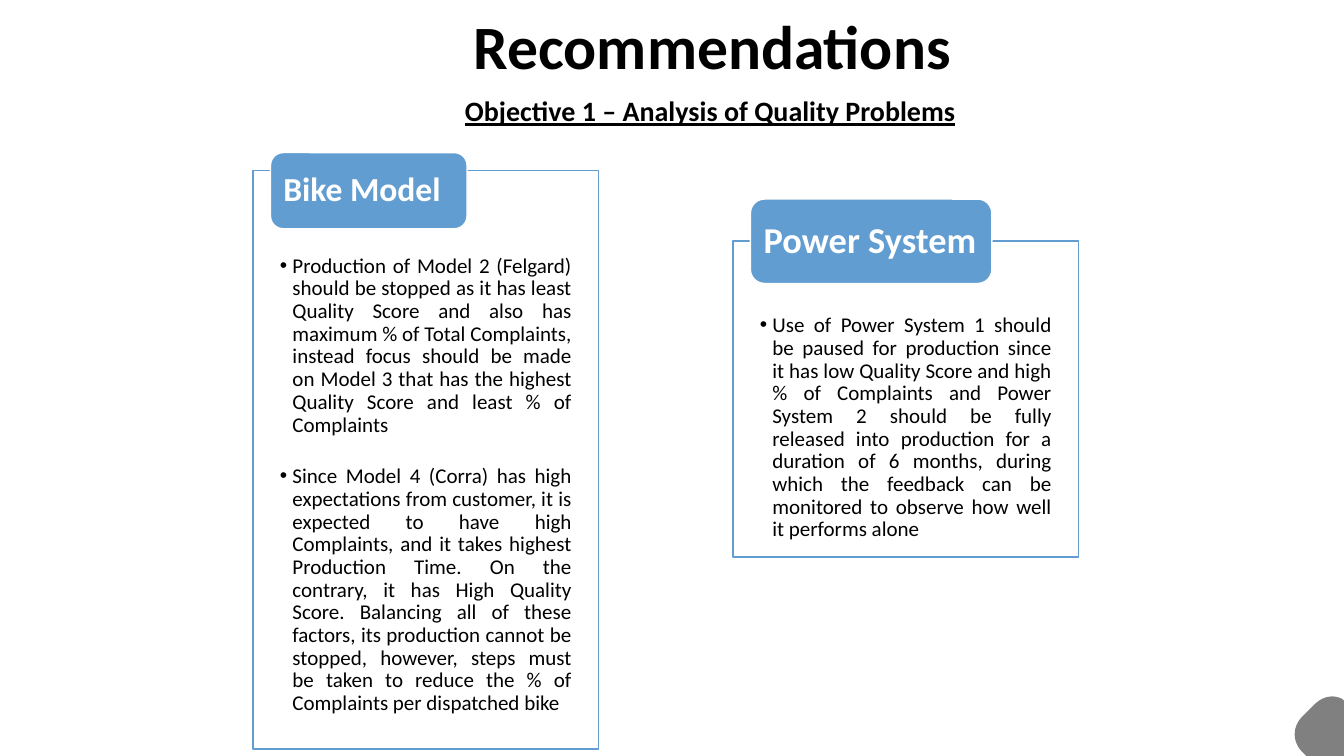
from pptx import Presentation
from pptx.dml.color import RGBColor
from pptx.enum.shapes import MSO_SHAPE
from pptx.enum.text import MSO_ANCHOR, PP_ALIGN
from pptx.util import Pt
from lxml.etree import SubElement
from pptx.oxml.ns import qn

COLORS = {"blue": "629DD1", "white": "FFFFFF", "black": "000000", "gray": "808080"}


def add_panel(kind, bounds, fill, line):
    shape = page.shapes.add_shape(kind, *[Pt(value) for value in bounds])
    shape.shadow.inherit = False
    shape.fill.solid()
    shape.fill.fore_color.rgb = RGBColor.from_string(COLORS[fill])
    shape.line.color.rgb = RGBColor.from_string(COLORS[line])
    shape.line.width = Pt(1)
    return shape


def write(para, text, size, color, align, spacing, bold=False, underline=None):
    para.alignment = align
    para.line_spacing = spacing
    span = para.add_run()
    span.text = text
    span.font.name = "Calibri"
    span.font.size = Pt(size)
    span.font.bold = bold
    span.font.underline = underline
    span.font.color.rgb = RGBColor.from_string(COLORS[color])


deck = Presentation()
deck.slide_width, deck.slide_height = Pt(960), Pt(540)
page = deck.slides.add_slide(deck.slide_layouts[6])

# Title and subtitle: text, bounds, insets, size, alignment, spacing, before, underline
headings = [
    ("Recommendations", (337, 2, 344, 55), (0, 0), 44,
     PP_ALIGN.CENTER, 1.07, 6, None),
    ("Objective 1 – Analysis of Quality Problems", (325, 63.4, 480, 31.5), (7.2, 3.6), 20,
     PP_ALIGN.LEFT, 1.0, 2, True),
]
for text, bounds, (side, edge), size, align, spacing, before, underline in headings:
    box = page.shapes.add_textbox(*[Pt(value) for value in bounds])
    frame = box.text_frame
    frame.word_wrap = True
    frame.margin_left = frame.margin_right = Pt(side)
    frame.margin_top = frame.margin_bottom = Pt(edge)
    para = frame.paragraphs[0]
    para.space_before = Pt(before)
    write(para, text, size, "black", align, spacing, True, underline)

# Corner ornament: straight edges joined by sampled Bezier curves
outline = [(960, 500.4), (960, 540.7), (933.8, 540.7)]
curves = [
    [(930.2, 537.1), (923, 529.9), (923, 519.1), (930.2, 511.9)],
    [(938.9, 503.3), (942.5, 499.7), (946.8, 497.5), (951.8, 497.5)],
    [(951.8, 497.5), (954, 497.5), (956.2, 498.2), (958.3, 499)],
]
for curve in curves:
    for step in range(13):
        t = step / 12
        weights = ((1 - t) ** 3, 3 * t * (1 - t) ** 2, 3 * t * t * (1 - t), t ** 3)
        outline.append(tuple(
            sum(weight * point[axis] for weight, point in zip(weights, curve))
            for axis in (0, 1)))
corners = [(x * 100, y * 100) for x, y in outline]
builder = page.shapes.build_freeform(*corners[0], scale=Pt(1) / 100)
builder.add_line_segments(corners[1:], close=True)
ornament = builder.convert_to_shape()
ornament.shadow.inherit = False
ornament.fill.solid()
ornament.fill.fore_color.rgb = RGBColor.from_string(COLORS["gray"])
ornament.line.fill.background()

# Recommendation cards: label, label size, label bounds, body bounds, top inset, bullets
cards = [
    ("Bike Model", 24, (193.2, 109, 140.4, 54.4), (180.7, 121.7, 246.8, 413.2), 60.5, [
        "Production of Model 2 (Felgard) should be stopped as it has least Quality Score "
        "and also has maximum % of Total Complaints, instead focus should be made on Model 3 "
        "that has the highest Quality Score and least % of Complaints",
        "Since Model 4 (Corra) has high expectations from customer, it is expected to have "
        "high Complaints, and it takes highest Production Time. On the contrary, it has High "
        "Quality Score. Balancing all of these factors, its production cannot be stopped, "
        "however, steps must be taken to reduce the % of Complaints per dispatched bike",
    ]),
    ("Power System", 26, (536, 142.2, 172.5, 60.3), (523.5, 172.1, 246.8, 225.7), 52.6, [
        "Use of Power System 1 should be paused for production since it has low Quality Score "
        "and high % of Complaints and Power System 2 should be fully released into production "
        "for a duration of 6 months, during which the feedback can be monitored to observe how "
        "well it performs alone",
    ]),
]
for label, label_size, label_bounds, body_bounds, top_inset, bullets in cards:
    body = add_panel(MSO_SHAPE.RECTANGLE, body_bounds, "white", "blue")
    frame = body.text_frame
    frame.word_wrap = True
    frame.vertical_anchor = MSO_ANCHOR.TOP
    frame.margin_left = frame.margin_right = Pt(19.2)
    frame.margin_top, frame.margin_bottom = Pt(top_inset), Pt(8.5)
    for index, text in enumerate(bullets):
        para = frame.add_paragraph() if index else frame.paragraphs[0]
        para.space_before = Pt(20.6 if index else 0)
        write(para, text, 15, "black", PP_ALIGN.JUSTIFY, 0.9)
        properties = para._p.get_or_add_pPr()
        properties.set("marL", str(Pt(9)))
        properties.set("indent", str(-Pt(9)))
        SubElement(properties, qn("a:buFont")).set("typeface", "Arial")
        SubElement(properties, qn("a:buChar")).set("char", "•")

    tab = add_panel(MSO_SHAPE.ROUNDED_RECTANGLE, label_bounds, "blue", "white")
    frame = tab.text_frame
    frame.word_wrap = True
    frame.vertical_anchor = MSO_ANCHOR.MIDDLE
    frame.margin_left, frame.margin_right = Pt(6.5), Pt(3)
    frame.margin_top = frame.margin_bottom = Pt(0)
    write(frame.paragraphs[0], label, label_size, "white", PP_ALIGN.LEFT, 0.9, True)

deck.save("out.pptx")
